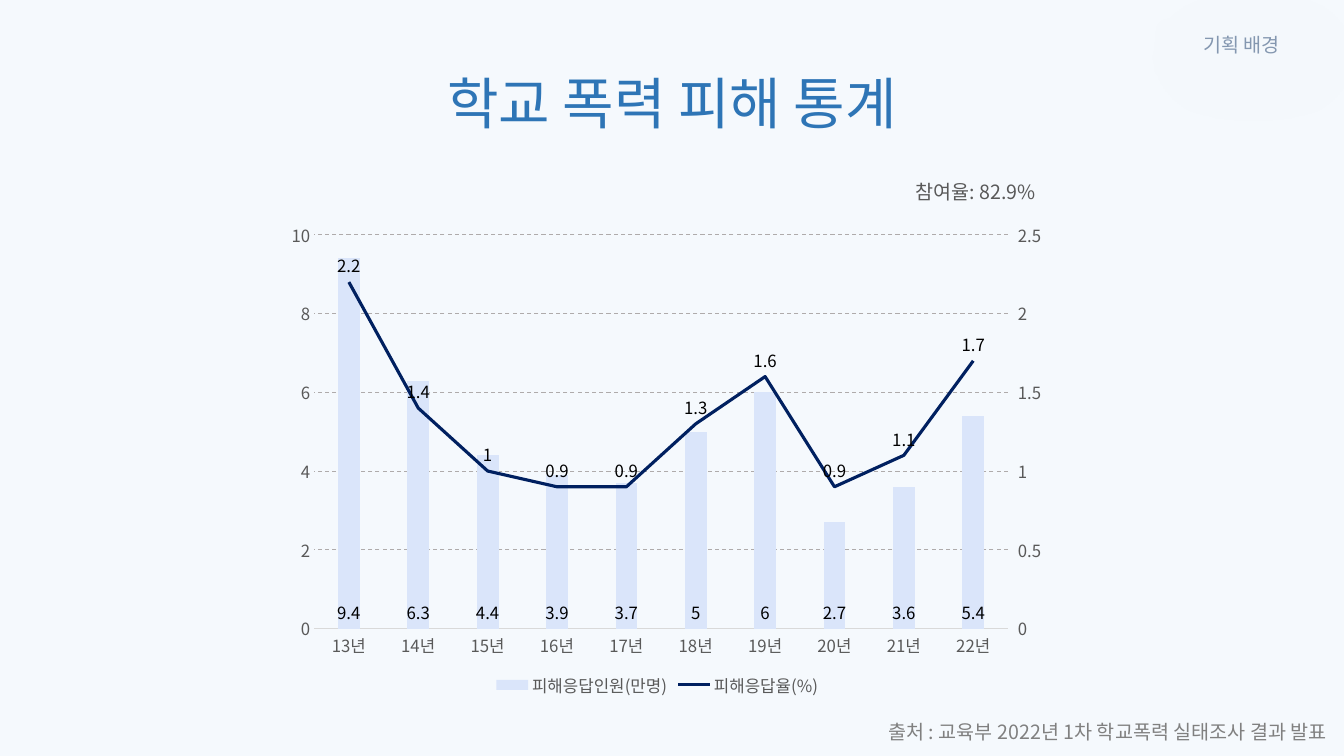
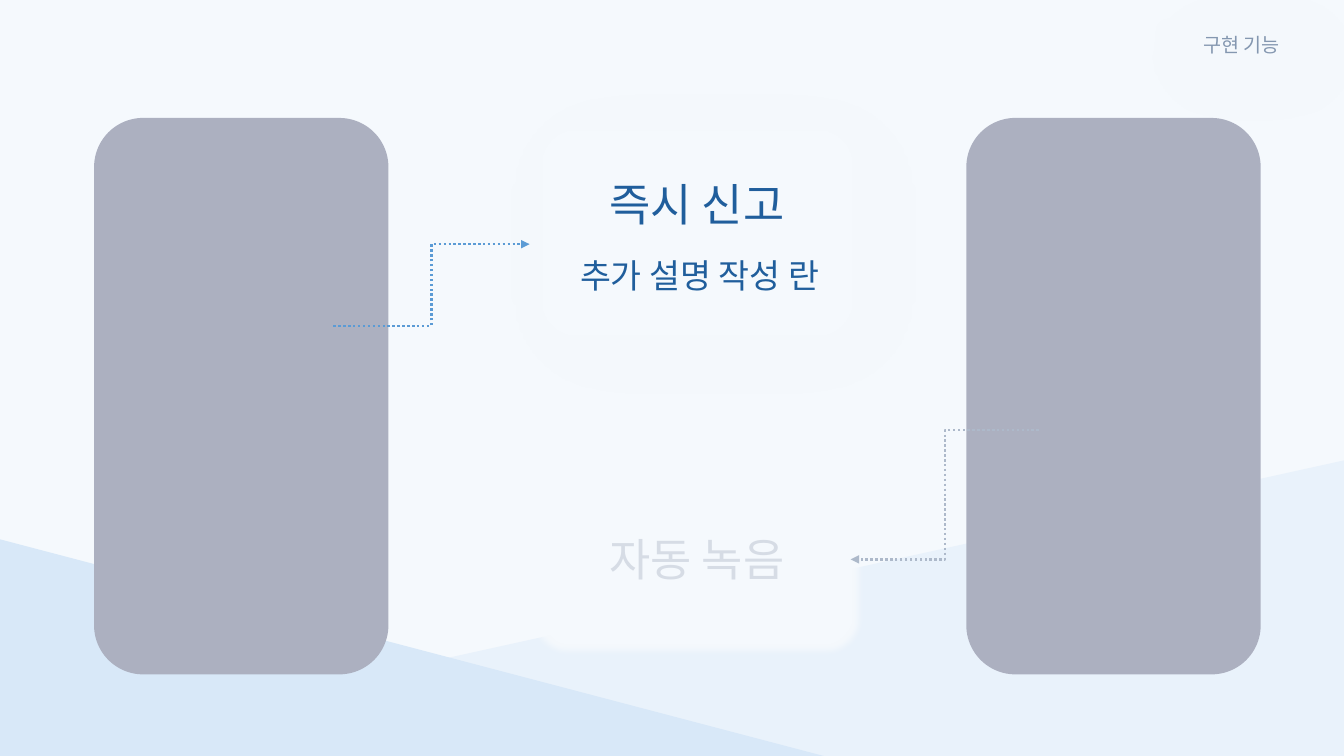
from copy import deepcopy
from dataclasses import dataclass

from lxml.etree import SubElement
from pptx import Presentation
from pptx.chart.axis import ValueAxis
from pptx.chart.data import CategoryChartData
from pptx.dml.color import RGBColor
from pptx.enum.chart import (
    XL_CHART_TYPE as ChartType,
    XL_LABEL_POSITION as LabelPosition,
    XL_LEGEND_POSITION as LegendPosition,
    XL_MARKER_STYLE as MarkerStyle,
    XL_TICK_MARK as TickMark,
)
from pptx.enum.dml import MSO_LINE as Dash
from pptx.enum.shapes import MSO_CONNECTOR as Connector, MSO_SHAPE as Shape
from pptx.enum.text import MSO_ANCHOR as Anchor, MSO_AUTO_SIZE as AutoSize, PP_ALIGN as Align
from pptx.oxml import parse_xml
from pptx.oxml.ns import nsdecls, qn
from pptx.util import Inches, Pt

FONT = "Noto Sans CJK KR"
COLORS = {
    "background": "F5F9FD", "shadow": "C5DCF3", "tag": "8497B0",
    "title": "2E75B6", "heading": "205E9C", "faded": "D6DCE5",
    "text": "595959", "source": "808080", "label": "000000",
    "bar": "DAE5FA", "rate": "002060", "axis": "D9D9D9", "grid": "AFABAB",
    "near_hill": "D8E8F8", "far_hill": "E9F2FB", "phone": "ACB0C0",
    "arrow": "5B9BD5", "faded_arrow": "ADB9CA",
}
LAYOUT_TITLE_ONLY = 5


def color(name):
    return RGBColor.from_string(COLORS[name])


@dataclass
class Box:
    left: int
    top: int
    width: int
    height: int

    def point(self, x, y):
        """Return the position at x and y percent of this box."""
        return self.left + int(self.width * x / 100), self.top + int(self.height * y / 100)

    def share(self, x, y, width, height):
        """Return the box given in percent of this one."""
        return Box(*self.point(x, y), int(self.width * width / 100), int(self.height * height / 100))

    @property
    def bounds(self):
        return self.left, self.top, self.width, self.height


PAGE = Box(0, 0, Inches(13.33), Inches(7.5))


def style_font(font, size, color_name):
    font.size = Pt(size)
    font.color.rgb = color(color_name)
    font.name = FONT


def write_text(shape, text, size, color_name, align=Align.CENTER):
    frame = shape.text_frame
    frame.text = text
    frame.word_wrap = True
    frame.auto_size = AutoSize.NONE
    frame.vertical_anchor = Anchor.MIDDLE
    paragraph = frame.paragraphs[0]
    paragraph.alignment = align
    paragraph.line_spacing = 1
    font = paragraph.runs[0].font
    style_font(font, size, color_name)
    SubElement(font._element, qn("a:ea"), typeface=FONT)


def add_text(slide, box, *text_style):
    write_text(slide.shapes.add_textbox(*box.bounds), *text_style)


def place_title(slide, box, *text_style):
    title = slide.shapes.title
    title.left, title.top, title.width, title.height = box.bounds
    write_text(title, *text_style)
    slide.shapes._spTree.append(title._element)


def add_plain_shape(slide, kind, box, fill):
    shape = slide.shapes.add_shape(kind, *box.bounds)
    shape.fill.solid()
    shape.fill.fore_color.rgb = color(fill)
    shape.line.fill.background()
    shape.shadow.inherit = False
    return shape


def add_card(slide, box, shadow=True):
    """Add a soft-edged panel, optionally raised by a faint shadow."""
    card = add_plain_shape(slide, Shape.ROUNDED_RECTANGLE, box, "background")
    effects = card._element.spPr.find(qn("a:effectLst"))
    if shadow:
        outer = SubElement(effects, qn("a:outerShdw"), blurRad=str(Pt(56)), dist=str(Pt(14)),
                           dir=str(33 * 60000), algn="tl", rotWithShape="0")
        tint = SubElement(outer, qn("a:srgbClr"), val=COLORS["shadow"])
        SubElement(tint, qn("a:alpha"), val="11000")
    SubElement(effects, qn("a:softEdge"), rad=str(Pt(5)))


def add_arrow(slide, start, end, color_name):
    arrow = slide.shapes.add_connector(Connector.ELBOW, *start, *end)
    arrow.line.color.rgb = color(color_name)
    arrow.line.width = Pt(1.75)
    arrow.line.dash_style = Dash.ROUND_DOT
    SubElement(arrow.line._get_or_add_ln(), qn("a:tailEnd"), type="triangle")
    SubElement(arrow._element.spPr, qn("a:effectLst"))


def add_section_tag(slide, text):
    add_card(slide, PAGE.share(86, 2.4, 12.1, 7.5))
    add_text(slide, PAGE.share(86, 3.7, 12.75, 4.5), text, 14, "tag")


def style_labels(series, position):
    labels = series.data_labels
    labels.show_value = True
    labels.position = position
    labels.number_format = "General"
    labels.number_format_is_linked = False
    style_font(labels.font, 12, "label")


def style_axes(chart):
    for axis in (chart.category_axis, chart.value_axis):
        axis.major_tick_mark = axis.minor_tick_mark = TickMark.NONE
        style_font(axis.tick_labels.font, 12, "text")
    chart.category_axis.format.line.color.rgb = color("axis")
    chart.category_axis.format.line.width = Pt(0.75)
    values = chart.value_axis
    values.format.line.fill.background()
    values.minimum_scale, values.maximum_scale, values.major_unit = 0, 10, 2
    grid = values.major_gridlines.format.line
    grid.color.rgb = color("grid")
    grid.width = Pt(0.75)
    grid.dash_style = Dash.DASH


def move_to_right_axis(chart, series):
    """Turn a column series into a line with its own value axis."""
    element = series._element
    invert = element.find(qn("c:invertIfNegative"))
    if invert is not None:
        element.remove(invert)
    category_id, value_id = "5001", "5002"
    line_chart = parse_xml(
        f'<c:lineChart {nsdecls("c")}><c:grouping val="standard"/><c:varyColors val="0"/>'
        f'<c:marker val="1"/><c:axId val="{category_id}"/><c:axId val="{value_id}"/></c:lineChart>')
    line_chart.insert(2, element)
    chart.plots[0]._element.addnext(line_chart)

    left_axis, bottom_axis = chart.value_axis._element, chart.category_axis._element
    right_axis, hidden_axis = deepcopy(left_axis), deepcopy(bottom_axis)
    for axis, own, crossed in ((right_axis, value_id, category_id),
                               (hidden_axis, category_id, value_id)):
        axis.find(qn("c:axId")).set("val", own)
        axis.find(qn("c:crossAx")).set("val", crossed)
    left_axis.addnext(right_axis)
    right_axis.addnext(hidden_axis)
    hidden_axis.find(qn("c:delete")).set("val", "1")
    right_axis.find(qn("c:axPos")).set("val", "r")
    right_axis.find(qn("c:crosses")).set("val", "max")
    axis = ValueAxis(right_axis)
    axis.has_major_gridlines = False
    axis.major_tick_mark = TickMark.OUTSIDE
    axis.maximum_scale, axis.major_unit = 2.5, 0.5


def fix_plot_area(chart, x, y, width, height):
    area = chart._chartSpace.chart.plotArea
    for old in area.findall(qn("c:layout")):
        area.remove(old)
    layout = SubElement(area, qn("c:layout"))
    area.insert(0, layout)
    manual = SubElement(layout, qn("c:manualLayout"))
    settings = {"layoutTarget": "inner", "xMode": "edge", "yMode": "edge",
                "x": x, "y": y, "w": width, "h": height}
    for name, value in settings.items():
        SubElement(manual, qn(f"c:{name}"), val=str(value))


def add_damage_chart(slide, box):
    data = CategoryChartData()
    data.categories = [f"{year}년" for year in range(13, 23)]
    data.add_series("피해응답인원(만명)", (9.4, 6.3, 4.4, 3.9, 3.7, 5, 6, 2.7, 3.6, 5.4))
    data.add_series("피해응답율(%)", (2.2, 1.4, 1, 0.9, 0.9, 1.3, 1.6, 0.9, 1.1, 1.7))
    chart = slide.shapes.add_chart(ChartType.COLUMN_CLUSTERED, *box.bounds, data).chart
    chart.has_title = False
    style_font(chart.font, 10, "source")
    chart.has_legend = True
    chart.legend.position = LegendPosition.BOTTOM
    chart.legend.include_in_layout = False
    style_font(chart.legend.font, 12, "text")
    style_axes(chart)

    columns = chart.plots[0]
    columns.gap_width, columns.overlap = 219, -27
    columns.vary_by_categories = False
    people, rate = columns.series
    people.format.fill.solid()
    people.format.fill.fore_color.rgb = color("bar")
    style_labels(people, LabelPosition.INSIDE_BASE)
    move_to_right_axis(chart, rate)
    rate = chart.plots[1].series[0]
    rate.smooth = False
    rate.marker.style = MarkerStyle.NONE
    rate.format.line.color.rgb = color("rate")
    rate.format.line.width = Pt(2.25)
    style_labels(rate, LabelPosition.ABOVE)
    fix_plot_area(chart, 0.06, 0.04, 0.89, 0.81)


def add_slide(presentation):
    slide = presentation.slides.add_slide(presentation.slide_layouts[LAYOUT_TITLE_ONLY])
    slide.background.fill.solid()
    slide.background.fill.fore_color.rgb = color("background")
    return slide


def build_statistics_slide(presentation):
    slide = add_slide(presentation)
    add_section_tag(slide, "기획 배경")
    place_title(slide, PAGE.share(31.3, 8.4, 37.4, 10.3), "학교 폭력 피해 통계", 40, "title")
    add_damage_chart(slide, PAGE.share(19.9, 28.5, 58, 64.3))
    add_text(slide, PAGE.share(62.9, 23.1, 14.9, 4.5), "참여율: 82.9%", 14, "text", Align.RIGHT)
    add_text(slide, PAGE.share(60, 94.5, 39.5, 4.5),
             "출처 : 교육부 2022년 1차 학교폭력 실태조사 결과 발표", 14, "source", Align.RIGHT)


def add_report_card(slide, box):
    add_card(slide, box)
    place_title(slide, box.share(17.8, 23.2, 64.5, 28), "즉시 신고", 32, "heading")
    add_text(slide, box.share(9.3, 57.5, 83, 22), "추가 설명 작성 란", 24, "heading")


def add_recording_card(slide, box):
    add_card(slide, box, shadow=False)
    add_text(slide, box.share(0, 33.5, 100, 33), "자동 녹음", 32, "faded")


def build_features_slide(presentation):
    slide = add_slide(presentation)
    far_hill = add_plain_shape(slide, Shape.RIGHT_TRIANGLE, PAGE.share(0.2, 60.9, 99.8, 39.1), "far_hill")
    far_hill._element.spPr.find(qn("a:xfrm")).set("flipH", "1")
    add_section_tag(slide, "구현 기능")
    add_plain_shape(slide, Shape.RIGHT_TRIANGLE, PAGE.share(-0.5, 71.1, 61.8, 28.9), "near_hill")
    add_report_card(slide, PAGE.share(39.4, 15.6, 24.9, 30.4))
    for x in (7, 71.9):
        add_plain_shape(slide, Shape.ROUNDED_RECTANGLE, PAGE.share(x, 15.6, 21.9, 73.6), "phone")
    add_recording_card(slide, PAGE.share(39.4, 60.9, 24.9, 26))
    add_arrow(slide, PAGE.point(24.8, 43.1), PAGE.point(39.4, 32.3), "arrow")
    add_arrow(slide, PAGE.point(77.3, 56.9), PAGE.point(63.3, 74), "faded_arrow")


def main():
    presentation = Presentation()
    presentation.slide_width, presentation.slide_height = PAGE.width, PAGE.height
    build_statistics_slide(presentation)
    build_features_slide(presentation)
    presentation.save("out.pptx")


if __name__ == "__main__":
    main()
